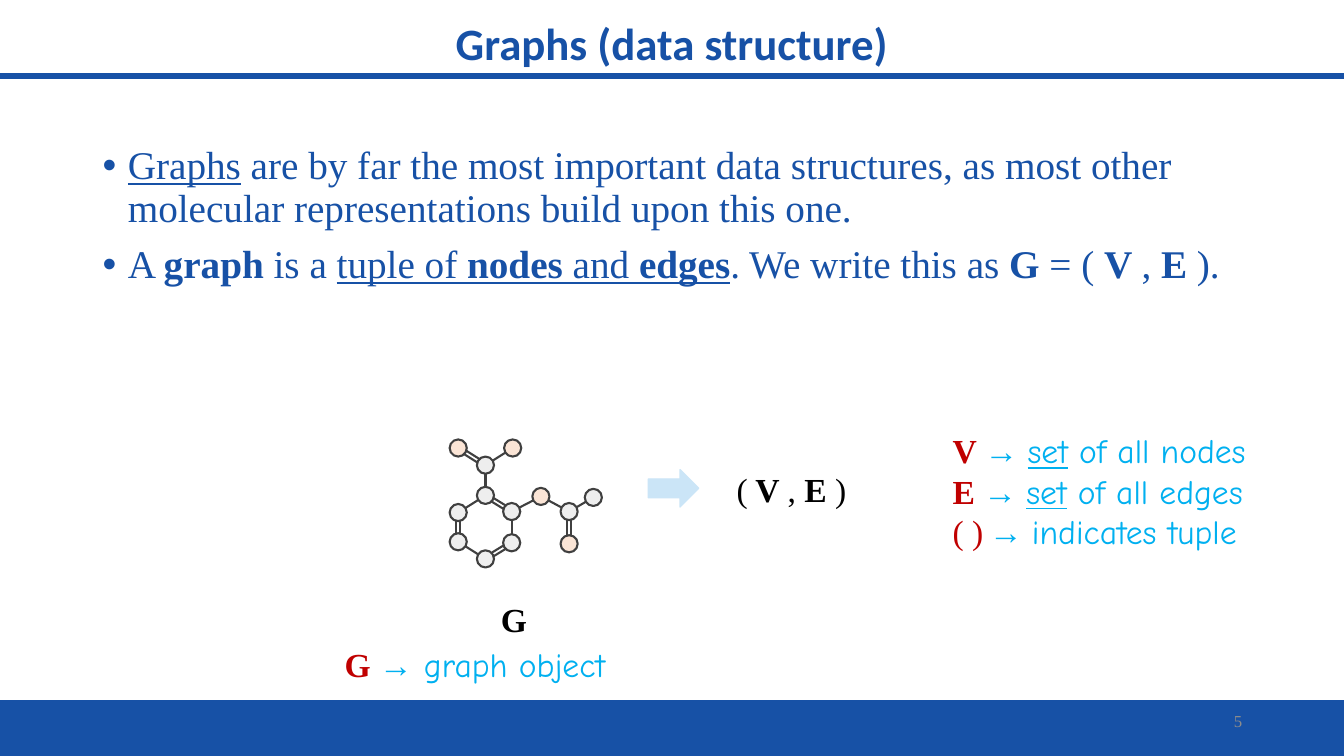
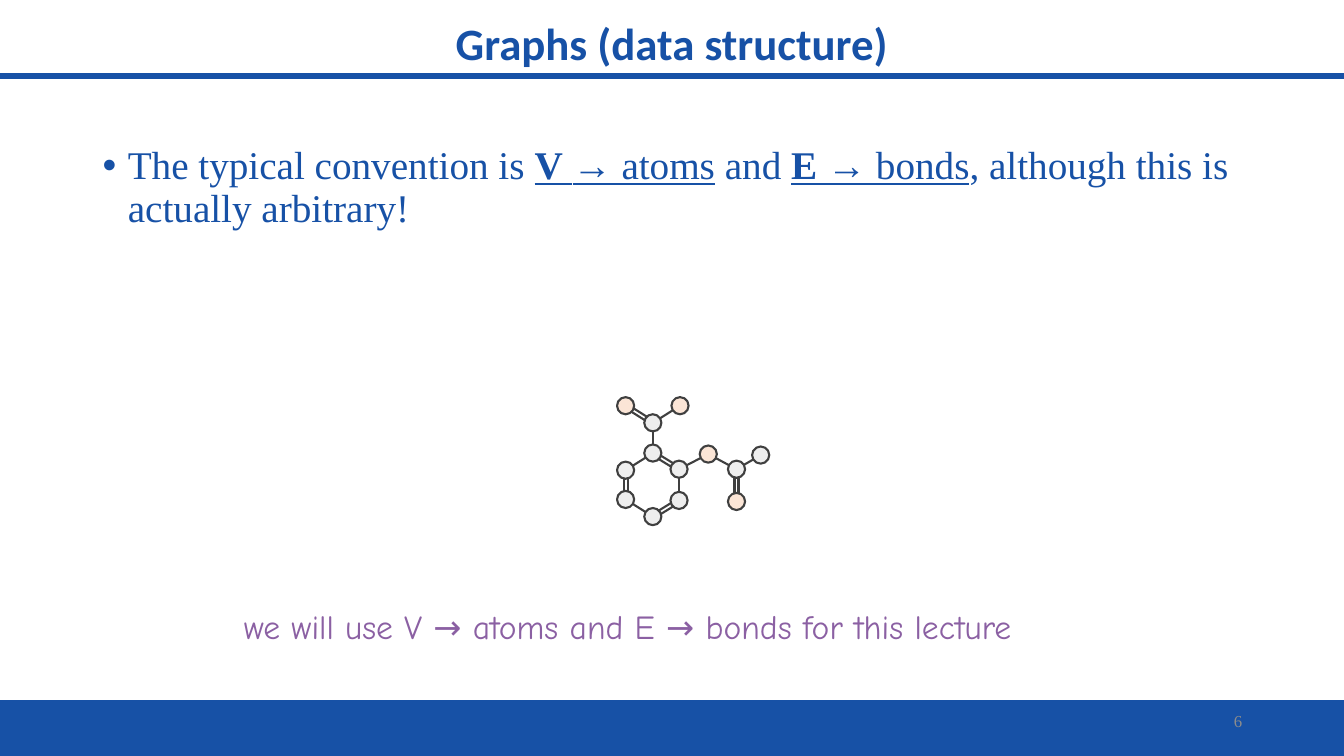
"""Build two lecture slides that introduce graphs as a data structure."""
from math import hypot

from lxml.etree import SubElement
from pptx import Presentation
from pptx.dml.color import RGBColor
from pptx.enum.shapes import MSO_CONNECTOR as Connector, MSO_SHAPE as Shape
from pptx.enum.text import MSO_ANCHOR as Anchor, PP_ALIGN as Align
from pptx.oxml.ns import qn
from pptx.util import Inches, Pt

BLUE, BLACK, GREY, RED = "1751A6", "000000", "8C8C8C", "C00000"
CYAN, PURPLE, PALE_BLUE = "00B0F0", "8B60A3", "CBE5F7"
OUTLINE, CARBON, OXYGEN = "404040", "EEEEEE", "FBE5D6"
SERIF, SANS, HAND, HEADING = "Times New Roman", "Arial", "Comic Neue", "Calibri"

TITLE = "Graphs (data structure)"
BOLD = {"bold": True}
LINKED = {"underline": True}
BOLD_LINKED = BOLD | LINKED
LINKED_ARROW = LINKED | {"name": SANS}
SYMBOL = {"name": SERIF, "color": RED}
BOLD_SYMBOL = SYMBOL | BOLD
ARROW = {"name": SANS}

GRAPH_POINTS = [
    [("Graphs", LINKED),
     (" are by far the most important data structures, as most other "
      "molecular representations build upon this one.", {})],
    [("A ", {}), ("graph", BOLD), (" is a ", {}), ("tuple of ", LINKED),
     ("nodes ", BOLD_LINKED), ("and ", LINKED), ("edges", BOLD_LINKED),
     (". We write this as ", {}), ("G", BOLD), (" = ( ", {}), ("V ", BOLD),
     (", ", {}), ("E ", BOLD), (").", {})],
]
CONVENTION_POINTS = [
    [("The typical convention is ", {}), ("V", BOLD_LINKED), (" ", LINKED),
     ("→", LINKED_ARROW), (" atoms", LINKED), (" and ", {}),
     ("E", BOLD_LINKED), (" ", LINKED), ("→", LINKED_ARROW),
     (" bonds", LINKED), (", although this is actually arbitrary!", {})],
]
TUPLE = [[("(", {}), (" V ", BOLD), (",", {}), (" E ", BOLD), (")", {})]]
LEGEND = [
    [("V ", BOLD_SYMBOL), ("→ ", ARROW), ("set", LINKED), (" of all nodes", {})],
    [("E ", BOLD_SYMBOL), ("→ ", ARROW), ("set", LINKED), (" of all edges", {})],
    [("( )", SYMBOL), (" ", {"size": 12}), ("→ ", ARROW), ("indicates tuple", {})],
]
GRAPH_LABEL = [[("G", BOLD)]]
GRAPH_NOTE = [[("G ", BOLD_SYMBOL), ("→", ARROW), (" graph object", {})]]
LECTURE_NOTE = [[("we will use V → atoms and E → bonds for this lecture", {})]]

NODE_SIZE, DOUBLE_GAP = 0.17, 0.04
NODES = [
    (0, 0, OXYGEN), (0.27, 0.17, CARBON), (0.54, 0, OXYGEN),
    (0.27, 0.47, CARBON), (0, 0.64, CARBON), (0, 0.93, CARBON),
    (0.27, 1.1, CARBON), (0.53, 0.94, CARBON), (0.53, 0.63, CARBON),
    (0.82, 0.48, OXYGEN), (1.1, 0.63, CARBON), (1.1, 0.95, OXYGEN),
    (1.34, 0.49, CARBON),
]
SINGLE_BONDS = [(1, 2), (1, 3), (3, 4), (5, 6), (7, 8), (8, 9), (9, 10), (10, 12)]
DOUBLE_BONDS = [(0, 1), (4, 5), (6, 7), (3, 8), (10, 11)]


def rgb(color):
    return RGBColor.from_string(color)


def style_font(font, name=None, size=None, color=None, bold=None, underline=None):
    if name:
        font.name = name
    if size:
        font.size = Pt(size)
    if color:
        font.color.rgb = rgb(color)
    if bold is not None:
        font.bold = bold
    if underline is not None:
        font.underline = underline


def add_bullet(paragraph):
    paragraph.line_spacing = 0.9
    paragraph.space_before = Pt(10)
    properties = paragraph._p.get_or_add_pPr()
    properties.set("marL", str(Inches(0.25)))
    properties.set("indent", str(Inches(-0.25)))
    bullet_font = properties.makeelement(qn("a:buFont"), {"typeface": SANS})
    bullet = properties.makeelement(qn("a:buChar"), {"char": "•"})
    spacing = properties.find(qn("a:spcBef"))
    spacing.addnext(bullet_font)
    bullet_font.addnext(bullet)


def add_text(slide, box, paragraphs, font, align=Align.LEFT, anchor=Anchor.TOP,
             bulleted=False):
    frame = slide.shapes.add_textbox(*map(Inches, box)).text_frame
    frame.word_wrap = True
    frame.vertical_anchor = anchor
    for index, runs in enumerate(paragraphs):
        paragraph = frame.add_paragraph() if index else frame.paragraphs[0]
        paragraph.alignment = align
        style_font(paragraph.font, **font)
        if bulleted:
            add_bullet(paragraph)
        for text, style in runs:
            run = paragraph.add_run()
            run.text = text
            style_font(run.font, **(font | style))


def add_block(slide, kind, box, fill, line, line_width=1):
    shape = slide.shapes.add_shape(kind, *map(Inches, box))
    shape.shadow.inherit = False
    shape.fill.solid()
    shape.fill.fore_color.rgb = rgb(fill)
    shape.line.color.rgb = rgb(line)
    shape.line.width = Pt(line_width)


def add_bond(slide, start, end, shift=0):
    (x1, y1), (x2, y2) = start, end
    length = hypot(x2 - x1, y2 - y1)
    dx, dy = shift * (y1 - y2) / length, shift * (x2 - x1) / length
    points = (x1 + dx, y1 + dy, x2 + dx, y2 + dy)
    bond = slide.shapes.add_connector(Connector.STRAIGHT, *map(Inches, points))
    bond.line.color.rgb = rgb(OUTLINE)
    bond.line.width = Pt(1.5)
    SubElement(bond._element.spPr, qn("a:effectLst"))


def add_molecule(slide, left, top):
    half = NODE_SIZE / 2
    centers = [(left + x + half, top + y + half) for x, y, _ in NODES]
    for first, second in SINGLE_BONDS:
        add_bond(slide, centers[first], centers[second])
    for first, second in DOUBLE_BONDS:
        for shift in (-DOUBLE_GAP / 2, DOUBLE_GAP / 2):
            add_bond(slide, centers[first], centers[second], shift)
    for x, y, fill in NODES:
        box = (left + x, top + y, NODE_SIZE, NODE_SIZE)
        add_block(slide, Shape.OVAL, box, fill, OUTLINE, 1.5)


def add_lecture_slide(presentation, number, points):
    slide = presentation.slides.add_slide(presentation.slide_layouts[6])
    add_block(slide, Shape.RECTANGLE, (0, 6.95, 13.33, 0.55), BLUE, BLUE)
    add_text(slide, (9.42, 6.95, 3, 0.4), [[(number, {})]],
             {"name": SERIF, "size": 12, "color": GREY}, Align.RIGHT, Anchor.MIDDLE)
    add_text(slide, (0, -0.3, 13.33, 1.45), [[(TITLE, {})]],
             {"name": HEADING, "size": 32, "color": BLUE, "bold": True},
             Align.CENTER, Anchor.MIDDLE)
    add_block(slide, Shape.RECTANGLE, (0, 0.73, 13.33, 0.05), BLUE, BLUE)
    add_text(slide, (0.92, 1.4, 11.5, 5.35), points,
             {"name": SERIF, "size": 28, "color": BLUE}, bulleted=True)
    return slide


presentation = Presentation()
presentation.slide_width, presentation.slide_height = Inches(13.33), Inches(7.5)
label_font = {"name": SERIF, "size": 24, "color": BLACK}
note_font = {"name": HAND, "size": 24, "color": CYAN}

graph_slide = add_lecture_slide(presentation, "5", GRAPH_POINTS)
add_text(graph_slide, (6.33, 4.33, 3.04, 1.04), TUPLE, label_font,
         Align.CENTER, Anchor.MIDDLE)
add_molecule(graph_slide, 4.46, 4.36)
add_block(graph_slide, Shape.RIGHT_ARROW, (6.43, 4.66, 0.5, 0.37), PALE_BLUE, PALE_BLUE)
add_text(graph_slide, (9.35, 4.22, 3.9, 1.31), LEGEND, note_font)
add_text(graph_slide, (4.87, 5.89, 0.5, 0.5), GRAPH_LABEL, label_font)
add_text(graph_slide, (3.32, 6.34, 3, 0.5), GRAPH_NOTE, note_font)

convention_slide = add_lecture_slide(presentation, "6", CONVENTION_POINTS)
add_molecule(convention_slide, 6.12, 3.94)
add_text(convention_slide, (2.32, 5.96, 8.69, 0.5), LECTURE_NOTE,
         note_font | {"color": PURPLE})

presentation.save("out.pptx")
